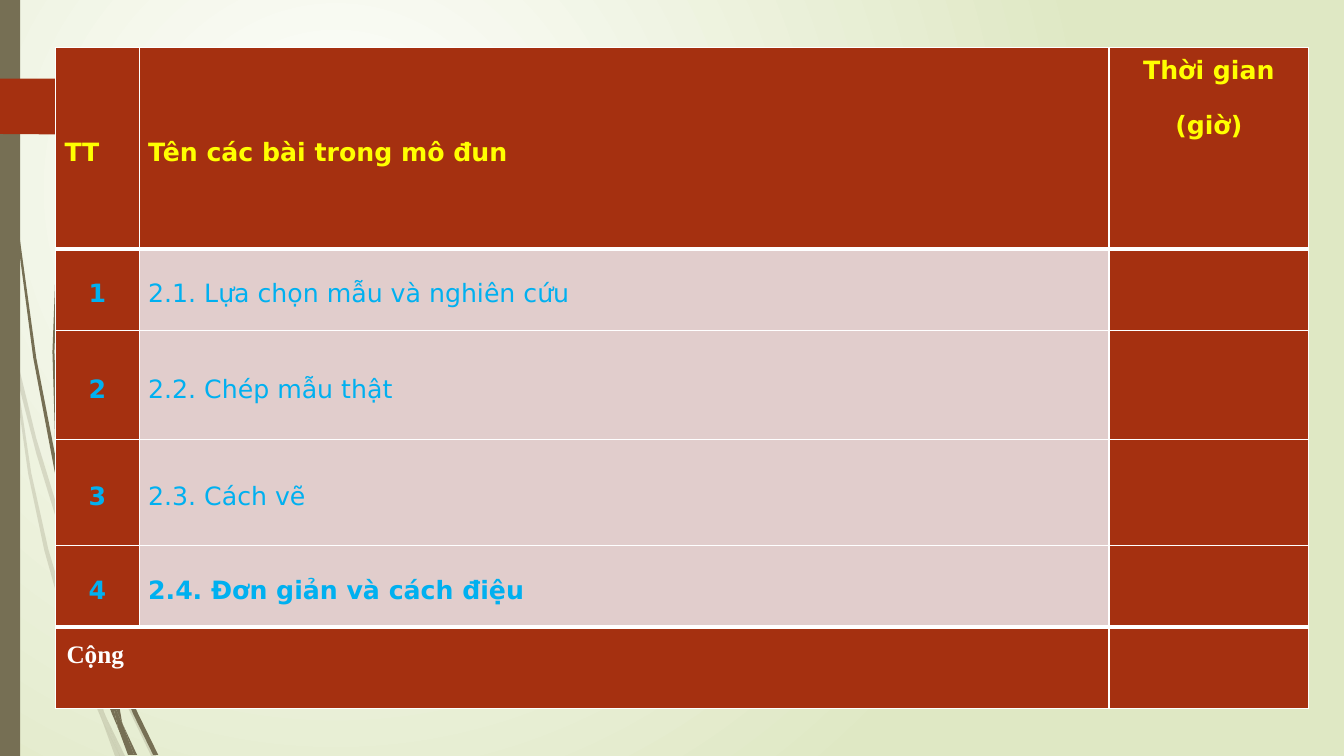
from lxml import etree
from pptx import Presentation
from pptx.dml.color import RGBColor
from pptx.enum.shapes import MSO_SHAPE
from pptx.enum.text import MSO_ANCHOR, PP_ALIGN
from pptx.oxml.ns import qn
from pptx.util import Inches, Pt

RECT = MSO_SHAPE.RECTANGLE
TOP, MIDDLE = MSO_ANCHOR.TOP, MSO_ANCHOR.MIDDLE
LEFT, CENTER, JUSTIFY = PP_ALIGN.LEFT, PP_ALIGN.CENTER, PP_ALIGN.JUSTIFY

OLIVE, RUST, PINK, WHITE = "766F54", "A53010", "E1CDCC", "FFFFFF"
YELLOW, BLUE, PALE_GREEN = "FFFF00", "00B0F0", "DFE8C4"
SANS, SERIF = "DejaVu Sans", "Times New Roman"

PALE_STEMS = [
    [(.58, 5.22), (.84, 5.99), (.85, 5.86), (.62, 5.2), (.36, 4.35), (.14, 3.45),
     (.17, 3.76), (.36, 4.5)],
    [(.92, 6.07), (.88, 5.96), (.88, 6.1), (1.23, 6.94), (1.5, 7.5), (1.55, 7.5),
     (1.27, 6.92)],
    [(1.19, 7.5), (1.24, 7.5), (1.05, 7.11)],
    [(.93, 6.83), (.7, 6.19), (.48, 5.45), (.31, 4.69), (.17, 3.76), (.11, 3.5),
     (.28, 4.7), (.44, 5.46), (.65, 6.21), (.92, 6.93), (1.01, 7.14), (.99, 7.07)],
    [(.84, 5.99), (.87, 6.46), (.93, 6.83), (.96, 6.92), (1.05, 7.11), (1.03, 7.06),
     (.91, 6.46), (.88, 6.1), (.88, 6.08)],
    [(1.01, 7.14), (1.14, 7.5), (1.19, 7.5)],
    [(.96, 6.92), (.93, 6.83), (.99, 7.07), (1.01, 7.14), (1.19, 7.5), (1.05, 7.11)],
]
DARK_STEMS = [
    [(.07, 1.1), (.17, 2.33), (.33, 3.55), (.56, 4.77), (.57, 4.81), (.55, 4.57),
     (.55, 4.53), (.36, 3.55), (.19, 2.32), (.08, 1.09), (.05, .48), (.04, 0),
     (.03, 0), (.04, .48)],
    [(1.13, 6.49), (1.1, 6.41), (1.11, 6.56), (1.32, 7.08), (1.52, 7.49), (1.57, 7.49),
     (1.36, 7.06)],
    [(1.1, 6.91), (.98, 6.57), (.72, 5.56), (.64, 5.05), (.57, 4.77), (.68, 5.57),
     (.93, 6.59), (1.11, 7.08), (1.17, 7.22), (1.16, 7.17)],
    [(.6, 4.72), (.58, 4.53), (.54, 3.49), (.58, 2.45), (.63, 1.93), (.7, 1.41),
     (.62, 1.93), (.56, 2.45), (.52, 3.49), (.55, 4.49)],
    [(1.33, 7.49), (1.36, 7.49), (1.22, 7.19)],
    [(1.17, 7.22), (1.27, 7.49), (1.31, 7.49)],
    [(1.06, 6.45), (1.1, 6.91), (1.16, 7.06), (1.22, 7.19), (1.21, 7.16), (1.11, 6.56),
     (1.09, 6.51)],
    [(1.16, 7.06), (1.1, 6.91), (1.16, 7.17), (1.17, 7.22), (1.3, 7.49), (1.33, 7.49),
     (1.22, 7.19)],
]
TAG = [(0, 0), (1.46, 0), (1.48, .01), (1.73, .26), (1.73, .3), (1.48, .55), (1.46, .56),
       (0, .55)]

COLUMN_WIDTHS = [.83, 9.62, 1.98]
ROW_HEIGHTS = [2, .81, 1.08, 1.05, .81, .81]
LESSONS = ["2.1. Lựa chọn mẫu và nghiên cứu", "2.2. Chép mẫu thật", "2.3. Cách vẽ",
           "2.4. Đơn giản và cách điệu"]


def rgb(color):
    return RGBColor.from_string(color)


def paint(sp, color, opacity=None):
    sp.shadow.inherit = False
    sp.fill.solid()
    sp.fill.fore_color.rgb = rgb(color)
    sp.line.fill.background()
    if opacity:
        clr = sp._element.spPr.find(qn("a:solidFill"))[0]
        etree.SubElement(clr, qn("a:alpha"), val=str(opacity * 1000))


def add_outline(slide, x, y, points, color, opacity=None):
    pts = [(Inches(x + px), Inches(y + py)) for px, py in points]
    builder = slide.shapes.build_freeform(*pts[0], scale=1.0)
    builder.add_line_segments(pts[1:], close=True)
    paint(builder.convert_to_shape(), color, opacity)


def set_background(slide):
    fill = slide.background.fill
    fill.gradient()
    for stop, color in zip(fill.gradient_stops, (WHITE, PALE_GREEN)):
        stop.color.rgb = rgb(color)
    grad = next(slide.element.iter(qn("a:gradFill")))
    grad.remove(grad.find(qn("a:lin")))
    circle = etree.SubElement(grad, qn("a:path"), path="circle")
    etree.SubElement(circle, qn("a:fillToRect"), l="50000", t="50000", r="100000", b="100000")


def add_decoration(slide, x, y, height):
    for stem in PALE_STEMS:
        add_outline(slide, x, y, stem, OLIVE, 20)
    for stem in DARK_STEMS:
        add_outline(slide, x, y, stem, OLIVE)
    bar = slide.shapes.add_shape(RECT, Inches(x), Inches(y), Inches(.2), Inches(height))
    paint(bar, OLIVE)
    add_outline(slide, x, y + .78, TAG, RUST)


def set_borders(cell, top=1, bottom=1):
    tcPr = cell._tc.get_or_add_tcPr()
    widths = {"a:lnL": 1, "a:lnR": 1, "a:lnT": top, "a:lnB": bottom}
    for i, (tag, width) in enumerate(widths.items()):
        ln = etree.Element(qn(tag), w=str(Pt(width)))
        solid = etree.SubElement(ln, qn("a:solidFill"))
        etree.SubElement(solid, qn("a:srgbClr"), val=WHITE)
        tcPr.insert(i, ln)


def fill_cell(cell, lines, color, align, bold=True, anchor=MIDDLE, font=SANS, inset=(.09, 0)):
    cell.vertical_anchor = anchor
    cell.margin_left = cell.margin_right = Inches(inset[0])
    cell.margin_top = cell.margin_bottom = Inches(inset[1])
    tf = cell.text_frame
    for i, line in enumerate(lines):
        p = tf.add_paragraph() if i else tf.paragraphs[0]
        p.alignment = align
        p.line_spacing = 1.3
        p.space_before = Pt(6 if i else 0)
        p.space_after = Pt(6)
        r = p.add_run()
        r.text = line
        r.font.size = Pt(18)
        r.font.name = font
        r.font.bold = bold
        r.font.color.rgb = rgb(color)


def add_lesson_table(slide, x, y):
    table = slide.shapes.add_table(
        len(ROW_HEIGHTS), len(COLUMN_WIDTHS), Inches(x), Inches(y),
        Inches(sum(COLUMN_WIDTHS)), Inches(sum(ROW_HEIGHTS))).table
    table.first_row = table.horz_banding = False
    for column, width in zip(table.columns, COLUMN_WIDTHS):
        column.width = Inches(width)
    last = len(ROW_HEIGHTS) - 1
    for i, height in enumerate(ROW_HEIGHTS):
        table.rows[i].height = Inches(height)
        for j in range(len(COLUMN_WIDTHS)):
            cell = table.cell(i, j)
            cell.fill.solid()
            cell.fill.fore_color.rgb = rgb(PINK if j == 1 and 0 < i < last else RUST)
            set_borders(cell, top=3 if i in (1, last) else 1,
                        bottom=3 if i in (0, last - 1) else 1)

    # Header row
    fill_cell(table.cell(0, 0), ["TT"], YELLOW, JUSTIFY)
    fill_cell(table.cell(0, 1), ["Tên các bài trong mô đun"], YELLOW, JUSTIFY)
    fill_cell(table.cell(0, 2), ["Thời gian", "(giờ)"], YELLOW, CENTER, anchor=TOP)

    # Lessons
    for i, lesson in enumerate(LESSONS, 1):
        fill_cell(table.cell(i, 0), [str(i)], BLUE, CENTER)
        fill_cell(table.cell(i, 1), [lesson], BLUE, LEFT, bold=i == len(LESSONS))

    # Total row
    table.cell(last, 0).merge(table.cell(last, 1))
    fill_cell(table.cell(last, 0), ["Cộng"], WHITE, JUSTIFY, anchor=TOP, font=SERIF,
              inset=(.11, .06))


def main():
    prs = Presentation()
    prs.slide_width, prs.slide_height = Inches(13.33), Inches(7.5)
    slide = prs.slides.add_slide(prs.slide_layouts[6])
    set_background(slide)
    add_decoration(slide, 0, 0, 7.5)
    add_lesson_table(slide, .55, .47)
    prs.save("out.pptx")


if __name__ == "__main__":
    main()
